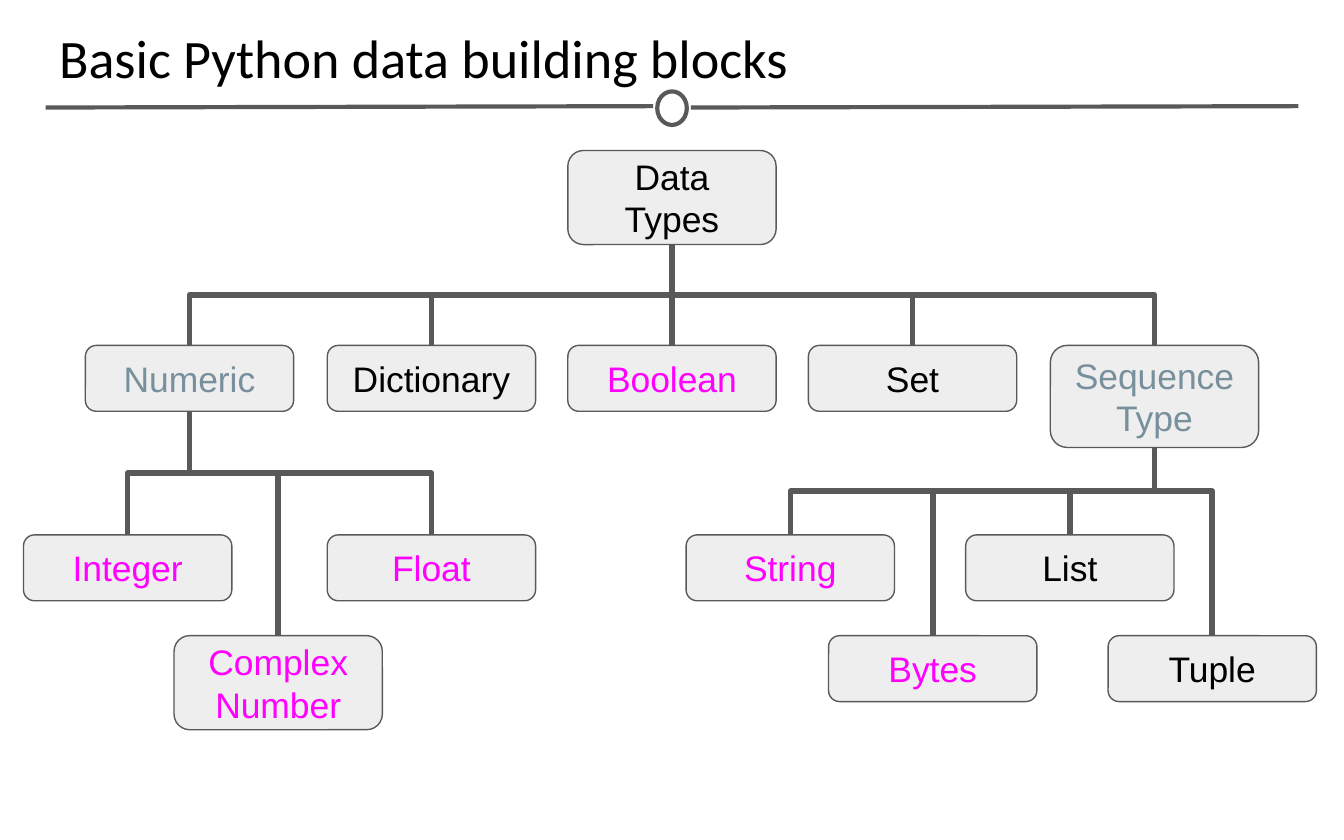
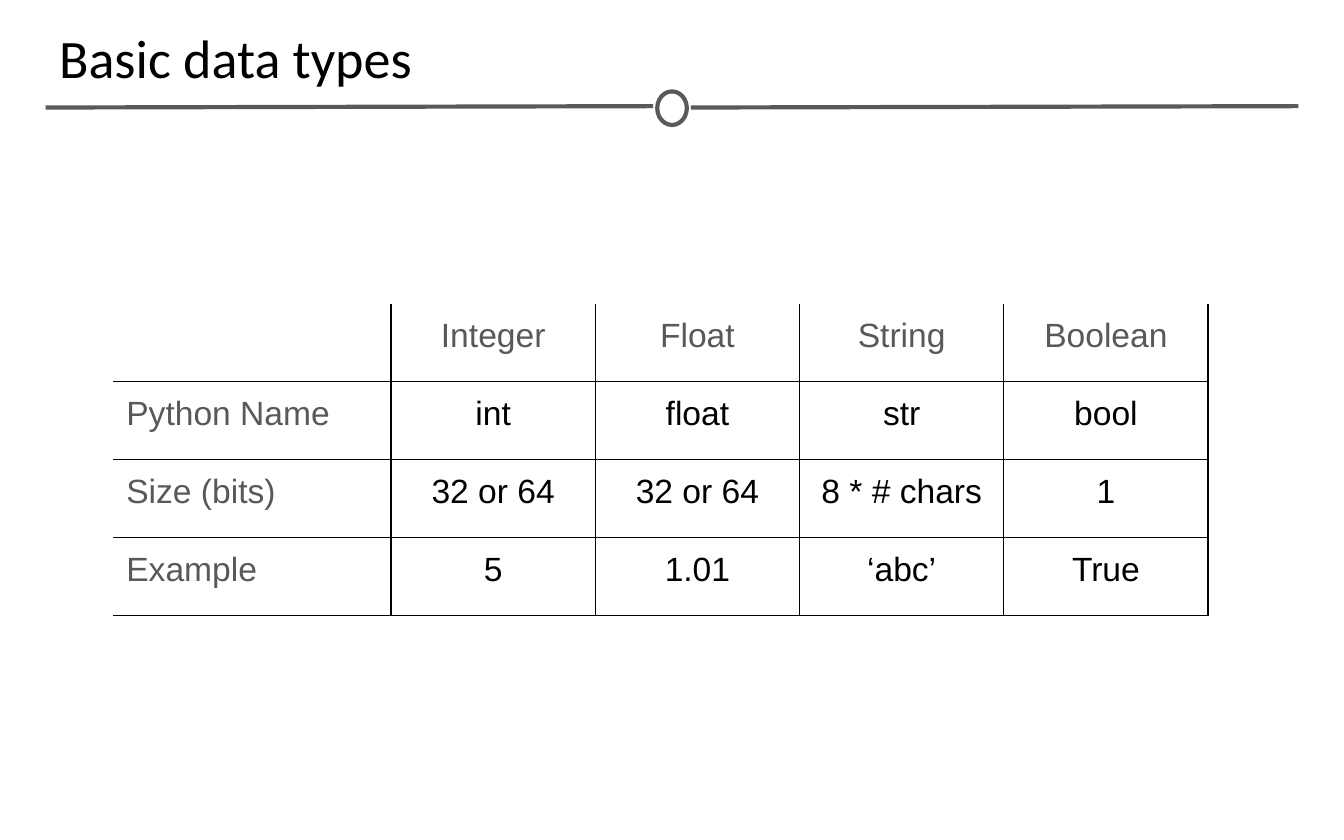
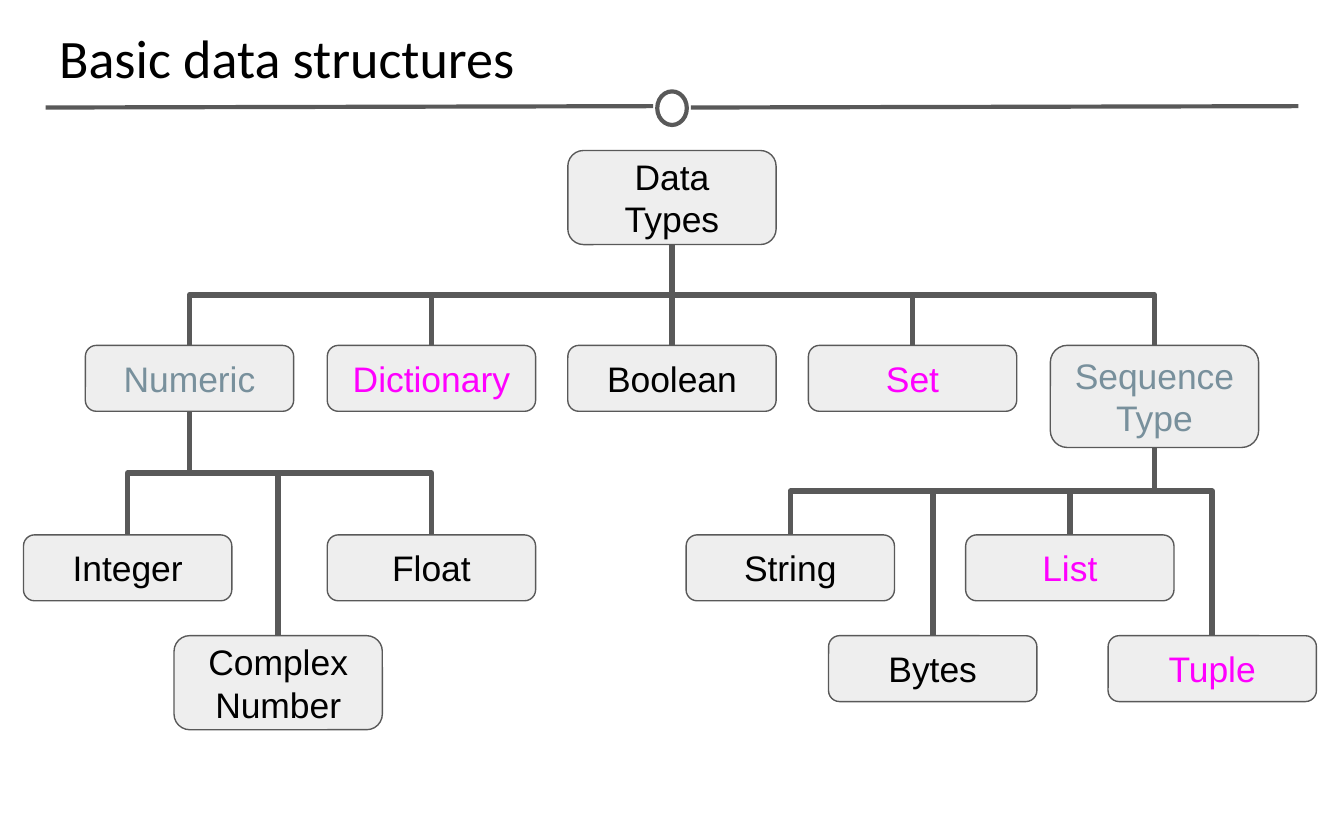
from lxml import etree
from pptx import Presentation
from pptx.dml.color import RGBColor
from pptx.enum.shapes import MSO_CONNECTOR, MSO_SHAPE
from pptx.enum.text import MSO_ANCHOR, MSO_AUTO_SIZE, PP_ALIGN
from pptx.oxml.ns import qn
from pptx.util import Inches, Pt

BLACK, GREY, PALE, SLATE, MAGENTA = "000000", "595959", "EEEEEE", "78909C", "FF00FF"

BLOCKS_TITLE = "Basic Python data building blocks"
TYPES_TITLE = "Basic data types"
STRUCTURES_TITLE = "Basic data structures"

# Node: (centre x, top, height)
ROOT, NUMERIC, SEQUENCE = "Data Types", "Numeric", "Sequence\nType"
NODES = {
    ROOT: (5, 1.12, 0.7),
    NUMERIC: (1.41, 2.57, 0.49),
    "Dictionary": (3.21, 2.57, 0.49),
    "Boolean": (5, 2.57, 0.49),
    "Set": (6.79, 2.57, 0.49),
    SEQUENCE: (8.59, 2.57, 0.76),
    "Integer": (0.95, 3.98, 0.49),
    "Complex\nNumber": (2.07, 4.73, 0.7),
    "Float": (3.21, 3.98, 0.49),
    "String": (5.88, 3.98, 0.49),
    "Bytes": (6.94, 4.73, 0.49),
    "List": (7.96, 3.98, 0.49),
    "Tuple": (9.02, 4.73, 0.49),
}
CHILDREN = {
    ROOT: [NUMERIC, "Dictionary", "Boolean", "Set", SEQUENCE],
    NUMERIC: ["Integer", "Complex\nNumber", "Float"],
    SEQUENCE: ["String", "Bytes", "List", "Tuple"],
}
CATEGORIES = [NUMERIC, SEQUENCE]
BUILDING_BLOCKS = ["Boolean", "Integer", "Complex\nNumber", "Float", "String", "Bytes"]
STRUCTURES = ["Dictionary", "Set", "List", "Tuple"]
NODE_WIDTH = 1.55

TYPE_ROWS = [
    ["", "Integer", "Float", "String", "Boolean"],
    ["Python Name", "int", "float", "str", "bool"],
    ["Size (bits)", "32 or 64", "32 or 64", "8 * # chars", "1"],
    ["Example", "5", "1.01", "‘abc’", "True"],
]
TYPE_WIDTHS = [2.07] + [1.52] * 4
TYPE_ROW_HEIGHT = 0.58


def rgb(color):
    return RGBColor.from_string(color)


def set_margins(target):
    for side in ("left", "top", "right", "bottom"):
        setattr(target, f"margin_{side}", Inches(0.1))


def write(frame, text, font, size, color, align=PP_ALIGN.LEFT):
    """Fill a text frame, one paragraph a line."""
    frame.text = text
    for paragraph in frame.paragraphs:
        paragraph.alignment = align
        for run in paragraph.runs:
            run.font.name, run.font.size = font, Pt(size)
            run.font.color.rgb = rgb(color)


def style_line(shape, width):
    shape.line.color.rgb = rgb(GREY)
    shape.line.width = Pt(width)


def add_line(slide, kind, start, end, width):
    line = slide.shapes.add_connector(kind, *map(Inches, start + end))
    style_line(line, width)
    etree.SubElement(line._element.spPr, qn("a:effectLst"))
    return line


def add_rule_to_layout(slide):
    """Draw the title rule and hand it to the layout, so that all slides share it."""
    rule = [add_line(slide, MSO_CONNECTOR.STRAIGHT, (x, 0.8), (x + 4.52, 0.79), 2.25)
            for x in (0.34, 5.14)]
    ring = slide.shapes.add_shape(
        MSO_SHAPE.OVAL, *map(Inches, (4.89, 0.68, 0.22, 0.25)))
    ring.shadow.inherit = False
    ring.fill.background()
    style_line(ring, 2.25)
    for part in rule + [ring]:
        slide.slide_layout.shapes._spTree.append(part._element)


def add_titled_slide(deck, text):
    slide = deck.slides.add_slide(deck.slide_layouts[5])
    title = slide.shapes.title
    title.left, title.top, title.width, title.height = map(
        Inches, (0.34, 0.08, 9.32, 0.7))
    frame = title.text_frame
    frame.auto_size = MSO_AUTO_SIZE.NONE
    frame.vertical_anchor = MSO_ANCHOR.TOP
    set_margins(frame)
    write(frame, text, "Calibri", 29, BLACK)
    return slide


def add_node(slide, name, color):
    center, top, height = NODES[name]
    node = slide.shapes.add_shape(
        MSO_SHAPE.ROUNDED_RECTANGLE,
        *map(Inches, (center - NODE_WIDTH / 2, top, NODE_WIDTH, height)))
    node.shadow.inherit = False
    node.fill.solid()
    node.fill.fore_color.rgb = rgb(PALE)
    style_line(node, 0.75)
    frame = node.text_frame
    frame.word_wrap = True
    frame.vertical_anchor = MSO_ANCHOR.MIDDLE
    set_margins(frame)
    write(frame, name, "Arial", 19, color, PP_ALIGN.CENTER)


def add_branch(slide, start, end, bus):
    """Elbow going down, across at height bus, and down again: a turned connector."""
    (x1, y1), (x2, y2) = start, end
    drop, shift = y2 - y1, abs(x2 - x1)
    x, y = (x1 + x2) / 2, (y1 + y2) / 2
    side = -1 if x2 < x1 else 1
    elbow = add_line(slide, MSO_CONNECTOR.ELBOW,
                     (x + side * drop / 2, y - shift / 2),
                     (x - side * drop / 2, y + shift / 2), 3)
    properties = elbow._element.spPr
    angle = 90 if side < 0 else 270
    properties.find(qn("a:xfrm")).set("rot", str(angle * 60000))
    adjustments = properties.find(qn("a:prstGeom")).find(qn("a:avLst"))
    bend = round((bus - y1) / drop * 100000)
    etree.SubElement(adjustments, qn("a:gd"), name="adj1", fmla=f"val {bend}")


def add_tree(slide, highlighted):
    for name in NODES:
        color = (SLATE if name in CATEGORIES
                 else MAGENTA if name in highlighted else BLACK)
        add_node(slide, name, color)
    for parent, children in CHILDREN.items():
        center, top, height = NODES[parent]
        bottom = top + height
        bus = (bottom + min(NODES[child][1] for child in children)) / 2
        for child in children:
            add_branch(slide, (center, bottom), NODES[child][:2], bus)


def set_borders(cell, row, column):
    """Black grid, left open along the top and the left side."""
    shown = {"L": column > 0, "R": True, "T": row > 0, "B": True}
    properties = cell._tc.get_or_add_tcPr()
    for index, (side, visible) in enumerate(shown.items()):
        border = etree.Element(qn(f"a:ln{side}"), w=str(Pt(0.75)))
        if visible:
            fill = etree.SubElement(border, qn("a:solidFill"))
            etree.SubElement(fill, qn("a:srgbClr"), val=BLACK)
        else:
            etree.SubElement(border, qn("a:noFill"))
        properties.insert(index, border)


def add_type_table(slide):
    table = slide.shapes.add_table(
        len(TYPE_ROWS), len(TYPE_WIDTHS), Inches(0.84), Inches(2.26),
        Inches(sum(TYPE_WIDTHS)), Inches(TYPE_ROW_HEIGHT * len(TYPE_ROWS))).table
    table.first_row = table.horz_banding = False
    for column, width in zip(table.columns, TYPE_WIDTHS):
        column.width = Inches(width)
    for r, values in enumerate(TYPE_ROWS):
        table.rows[r].height = Inches(TYPE_ROW_HEIGHT)
        for c, value in enumerate(values):
            cell = table.cell(r, c)
            set_margins(cell)
            cell.fill.background()
            set_borders(cell, r, c)
            write(cell.text_frame, value, "Arial", 18,
                  BLACK if r and c else GREY,
                  PP_ALIGN.CENTER if c else PP_ALIGN.LEFT)


def main():
    deck = Presentation()
    deck.slide_width, deck.slide_height = Inches(10), Inches(6.25)

    blocks = add_titled_slide(deck, BLOCKS_TITLE)
    add_rule_to_layout(blocks)
    add_tree(blocks, BUILDING_BLOCKS)
    add_type_table(add_titled_slide(deck, TYPES_TITLE))
    add_tree(add_titled_slide(deck, STRUCTURES_TITLE), STRUCTURES)

    deck.save("out.pptx")


if __name__ == "__main__":
    main()
